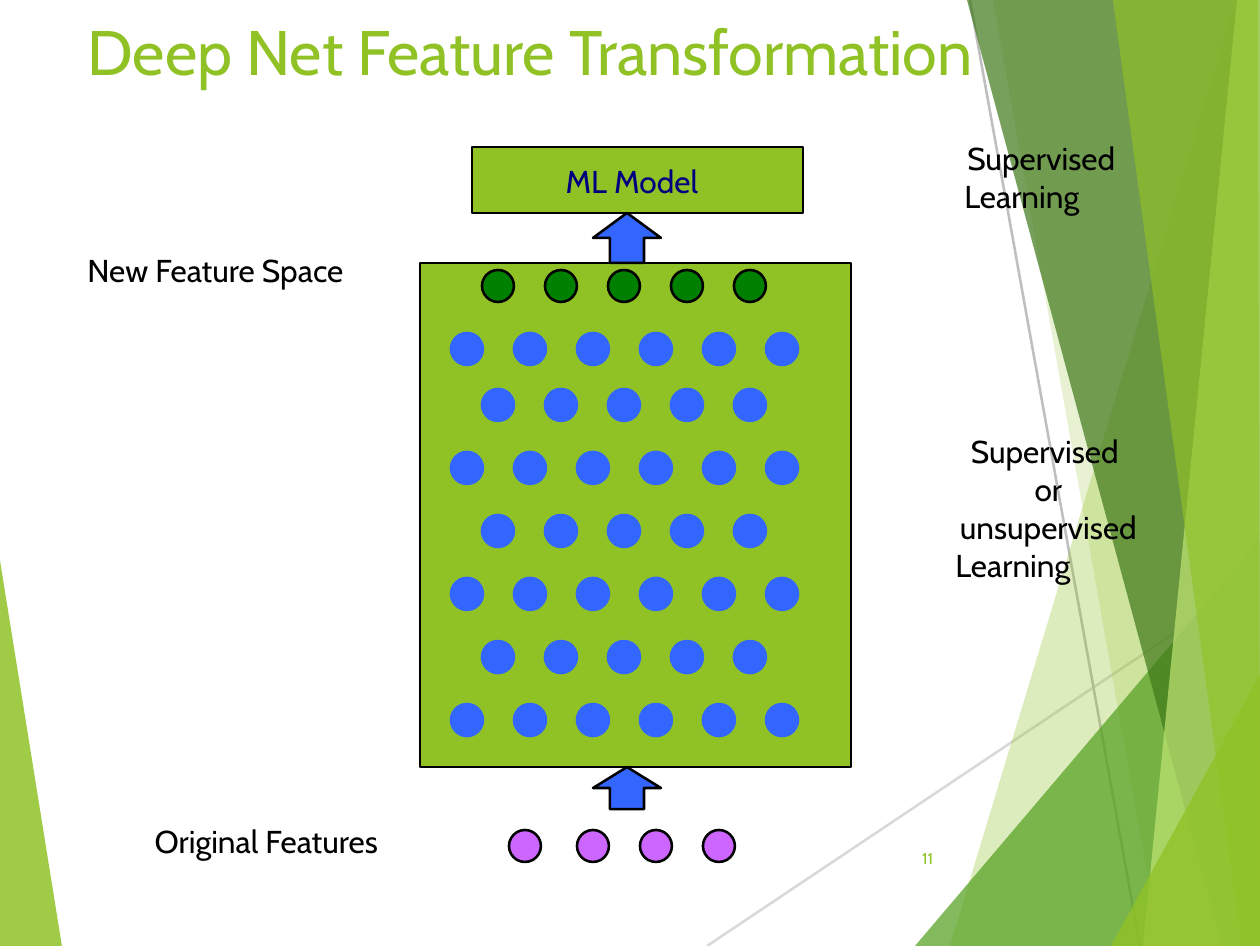
from dataclasses import dataclass

import lxml.etree
import pptx
import pptx.dml.color
import pptx.enum.shapes
import pptx.enum.text
import pptx.oxml.ns
import pptx.util

SCALE = 914400 / 250
WIDTH, HEIGHT = 1260, 946
FONT = "Cabin"
STROKE = pptx.util.Pt(0.75)
DOT = 32
PITCH = 63
COLORS = {
    "lime": "90C226", "leaf": "54A021", "moss": "3F7819", "pale": "C0E474",
    "silver": "D9D9D9", "gray": "BFBFBF", "black": "000000", "navy": "00007F",
    "blue": "3366FF", "green": "008000", "purple": "CC66FF",
}
KIND = pptx.enum.shapes.MSO_SHAPE
ALIGN = pptx.enum.text.PP_ALIGN
ANCHOR = pptx.enum.text.MSO_ANCHOR
FIT = pptx.enum.text.MSO_AUTO_SIZE


@dataclass
class Facet:
    points: list[tuple[int, int]]
    color: str
    alpha: int


@dataclass
class Ray:
    start: tuple[int, int]
    end: tuple[int, int]
    color: str


@dataclass
class Block:
    kind: KIND
    box: tuple[int, int, int, int]
    color: str


@dataclass
class Row:
    left: int
    top: int
    count: int
    color: str
    edge: str


@dataclass
class Label:
    lines: list[tuple[str, ALIGN]]
    box: tuple[int, int, int, int]
    color: str = "black"


BASE = (WIDTH, HEIGHT)
PEAK = (WIDTH, 0)
RAYS = [
    Ray((707, HEIGHT), (WIDTH, 576), "silver"),
    Ray((970, 0), (1140, HEIGHT), "gray"),
]
FACETS = [
    Facet([(0, 560), (62, HEIGHT), (0, HEIGHT)], "lime", 85),
    Facet([(1236, 0), (950, HEIGHT), BASE, PEAK], "lime", 30),
    Facet([(993, 0), (1160, HEIGHT), BASE, PEAK], "lime", 20),
    Facet([(915, HEIGHT), (WIDTH, 540), BASE], "leaf", 72),
    Facet([(967, 0), (1222, HEIGHT), BASE, PEAK], "moss", 70),
    Facet([(1237, 0), (1143, HEIGHT), BASE, PEAK], "pale", 70),
    Facet([(1113, 0), (1242, HEIGHT), BASE, (1258, 0)], "lime", 65),
    Facet([(1111, HEIGHT), (WIDTH, 675), BASE], "lime", 80),
]
BLOCKS = [
    Block(KIND.RECTANGLE, (420, 263, 431, 504), "lime"),
    Block(KIND.UP_ARROW, (593, 213, 68, 50), "blue"),
    Block(KIND.UP_ARROW, (593, 767, 68, 42), "blue"),
    Block(KIND.RECTANGLE, (472, 147, 331, 66), "lime"),
]
WIDE, NARROW = (451, 6), (482, 5)
ROWS = [
    Row(509, 830, 1, "purple", "black"),
    Row(577, 830, 3, "purple", "black"),
    Row(NARROW[0], 270, NARROW[1], "green", "black"),
    Row(WIDE[0], 333, WIDE[1], "blue", "blue"),
]
for step in range(6):
    left, count = WIDE if step % 2 else NARROW
    ROWS.append(Row(left, 389 + step * PITCH, count, "blue", "blue"))

LABELS = [
    Label([("ML Model", ALIGN.LEFT)], (541, 150, 182, 62), "navy"),
    Label([("New Feature Space", ALIGN.LEFT)], (63, 239, 325, 62)),
    Label([("Original Features", ALIGN.LEFT)], (130, 810, 295, 62)),
    Label([("Supervised", ALIGN.CENTER), ("Learning", ALIGN.LEFT)],
          (940, 127, 203, 102)),
    Label([("Supervised ", ALIGN.CENTER), ("or", ALIGN.CENTER),
           ("unsupervised", ALIGN.CENTER), ("Learning", ALIGN.LEFT)],
          (931, 420, 235, 178)),
]


def emu(px: int) -> int:
    return round(px * SCALE)


def tone(name: str) -> pptx.dml.color.RGBColor:
    return pptx.dml.color.RGBColor.from_string(COLORS[name])


def paint(shape, color: str, edge: str = "") -> None:
    shape.shadow.inherit = False
    shape.fill.solid()
    shape.fill.fore_color.rgb = tone(color)
    if edge:
        shape.line.color.rgb = tone(edge)
        shape.line.width = STROKE
    else:
        shape.line.fill.background()


def add_facet(shapes, facet: Facet) -> None:
    path = shapes.build_freeform(*facet.points[0], scale=SCALE)
    path.add_line_segments(facet.points[1:], close=True)
    shape = path.convert_to_shape()
    paint(shape, facet.color)
    tag = pptx.oxml.ns.qn
    color = shape.element.spPr.find(f"{tag('a:solidFill')}/{tag('a:srgbClr')}")
    lxml.etree.SubElement(color, tag("a:alpha"), val=str(facet.alpha * 1000))


def add_ray(shapes, ray: Ray) -> None:
    line = shapes.add_connector(
        pptx.enum.shapes.MSO_CONNECTOR.STRAIGHT, *map(emu, ray.start + ray.end))
    line.line.color.rgb = tone(ray.color)
    line.line.width = STROKE
    lxml.etree.SubElement(line.element.spPr, pptx.oxml.ns.qn("a:effectLst"))


def add_block(shapes, block: Block, edge: str = "black") -> None:
    shape = shapes.add_shape(block.kind, *map(emu, block.box))
    paint(shape, block.color, edge)


def add_row(shapes, row: Row) -> None:
    for i in range(row.count):
        box = (row.left + i * PITCH, row.top, DOT, DOT)
        add_block(shapes, Block(KIND.OVAL, box, row.color), row.edge)


def add_text(shapes, lines: list[tuple[str, ALIGN]], box: tuple[int, int, int, int],
             *, size: float = 9.1, color: str = "black", wrap: bool = False,
             fit: FIT = FIT.SHAPE_TO_FIT_TEXT, anchor: ANCHOR = ANCHOR.TOP) -> None:
    frame = shapes.add_textbox(*map(emu, box)).text_frame
    frame.word_wrap = wrap
    frame.auto_size = fit
    frame.vertical_anchor = anchor
    for i, (words, align) in enumerate(lines):
        para = frame.add_paragraph() if i else frame.paragraphs[0]
        para.alignment = align
        run = para.add_run()
        run.text = words
        run.font.name = FONT
        run.font.size = pptx.util.Pt(size)
        run.font.color.rgb = tone(color)


def main() -> None:
    deck = pptx.Presentation()
    deck.slide_width, deck.slide_height = emu(WIDTH), emu(HEIGHT)
    shapes = deck.slides.add_slide(deck.slide_layouts[6]).shapes
    for ray in RAYS:
        add_ray(shapes, ray)
    for facet in FACETS:
        add_facet(shapes, facet)
    add_text(shapes, [("Deep Net Feature Transformation", ALIGN.LEFT)],
             (63, 0, 1125, 147), size=18.1, color="lime", wrap=True, fit=FIT.NONE)
    add_text(shapes, [("11", ALIGN.RIGHT)], (887, 833, 71, 50), size=4.5,
             color="lime", wrap=True, fit=FIT.NONE, anchor=ANCHOR.MIDDLE)
    for block in BLOCKS:
        add_block(shapes, block)
    for row in ROWS:
        add_row(shapes, row)
    for label in LABELS:
        add_text(shapes, label.lines, label.box, color=label.color)
    deck.save("out.pptx")


if __name__ == "__main__":
    main()
